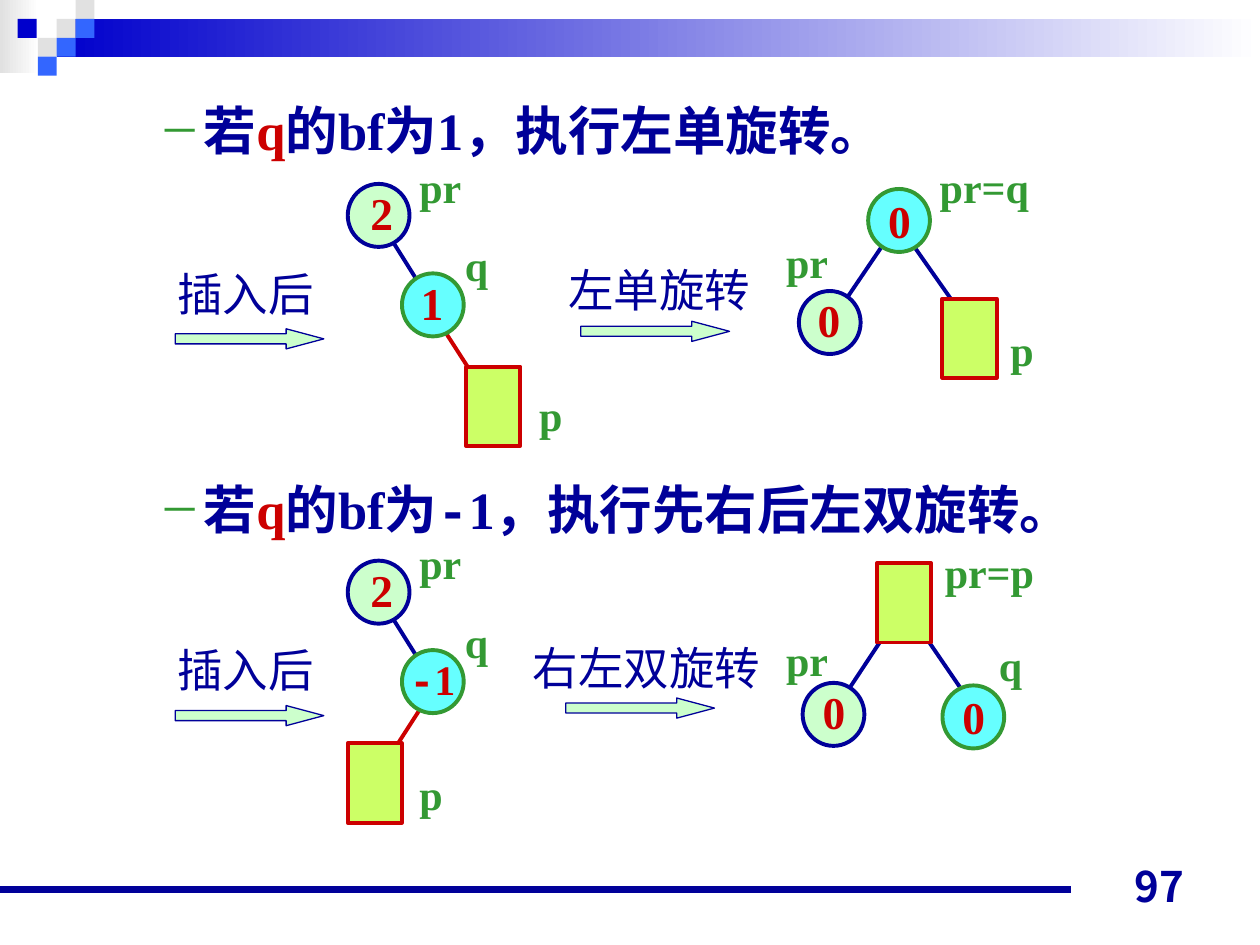
from dataclasses import dataclass

from lxml.etree import SubElement
from pptx import Presentation
from pptx.dml.color import RGBColor
from pptx.enum.shapes import MSO_CONNECTOR, MSO_SHAPE
from pptx.enum.text import MSO_ANCHOR, MSO_AUTO_SIZE, PP_ALIGN
from pptx.oxml.ns import qn
from pptx.util import Inches, Pt

RECT = MSO_SHAPE.RECTANGLE
OVAL = MSO_SHAPE.OVAL
ARROW = MSO_SHAPE.RIGHT_ARROW
LINE = MSO_CONNECTOR.STRAIGHT
BOTTOM = MSO_ANCHOR.BOTTOM
RIGHT = PP_ALIGN.RIGHT
GROW = MSO_AUTO_SIZE.SHAPE_TO_FIT_TEXT
FIXED = MSO_AUTO_SIZE.NONE

NAVY = RGBColor(0x00, 0x00, 0x99)
RED = RGBColor(0xCC, 0x00, 0x00)
GREEN = RGBColor(0x33, 0x99, 0x33)
MINT = RGBColor(0xCC, 0xFF, 0xCC)
CYAN = RGBColor(0x66, 0xFF, 0xFF)
LIME = RGBColor(0xCC, 0xFF, 0x66)
BLUE = RGBColor(0x00, 0x00, 0xCC)
SKY = RGBColor(0x33, 0x66, 0xFF)
GREY = RGBColor(0xE1, 0xE1, 0xE1)
WHITE = RGBColor(0xFF, 0xFF, 0xFF)

SERIF = "Times New Roman"
SANS = "Arial"
MONO = "Courier New"
NOTO = "Noto Sans CJK JP"
STEP = 2.99


@dataclass(frozen=True)
class Run:
    text: str
    color: RGBColor
    size: float
    font: str = SERIF
    bold: bool = True


@dataclass(frozen=True)
class Text:
    x: float
    y: float
    w: float
    h: float
    runs: tuple[Run, ...]


@dataclass(frozen=True)
class Edge:
    x1: float
    y1: float
    x2: float
    y2: float
    color: RGBColor = NAVY
    width: float = 2.25


@dataclass(frozen=True)
class Shape:
    kind: int
    x: float
    y: float
    w: float
    h: float
    fill: RGBColor
    line: RGBColor | None = None
    width: float = 2.25


def name(text: str, x: float, y: float, w: float = 0.38) -> Text:
    return Text(x, y, w, 0.5, (Run(text, GREEN, 24),))


def count(text: str, x: float, y: float) -> Text:
    return Text(x, y, 0.38, 0.54, (Run(text, RED, 26),))


def note(text: str, x: float, y: float, w: float) -> Text:
    return Text(x, y, w, 0.54, (Run(text, NAVY, 26, SANS, False),))


def root(x: float, y: float) -> Shape:
    return Shape(OVAL, x, y, 0.49, 0.5, MINT, NAVY)


def child(x: float, y: float) -> Shape:
    return Shape(OVAL, x, y, 0.49, 0.5, CYAN, GREEN)


def leaf(x: float, y: float) -> Shape:
    return Shape(RECT, x, y, 0.43, 0.63, LIME, RED)


def arrow(x: float, y: float) -> Shape:
    return Shape(ARROW, x, y, 1.18, 0.16, MINT, NAVY, 0.75)


def before(y: float) -> list:
    return [
        arrow(1.39, y + 2.61), note("插入后", 1.31, y + 2.06, 1.32),
        Edge(3.05, y + 1.81, 3.42, y + 2.4),
        root(2.76, y + 1.46), count("2", 2.84, y + 1.42),
        child(3.19, y + 2.17), name("q", 3.59, y + 1.85),
        name("pr", 3.23, y + 1.23, 0.53),
    ]


def add_run(para, run: Run) -> None:
    item = para.add_run()
    item.text = run.text
    font = item.font
    font.name, font.size, font.bold = run.font, Pt(run.size), run.bold
    font.color.rgb = run.color


def add_text(slide, text: Text):
    box = slide.shapes.add_textbox(
        Inches(text.x), Inches(text.y), Inches(text.w), Inches(text.h))
    box.text_frame.word_wrap = False
    box.text_frame.auto_size = GROW
    for run in text.runs:
        add_run(box.text_frame.paragraphs[0], run)
    return box.text_frame


def add_block(slide, text: Text):
    frame = add_text(slide, text)
    frame.word_wrap = True
    frame.auto_size = FIXED
    return frame


def add_edge(slide, edge: Edge) -> None:
    line = slide.shapes.add_connector(
        LINE, Inches(edge.x1), Inches(edge.y1), Inches(edge.x2), Inches(edge.y2))
    line.line.color.rgb = edge.color
    line.line.width = Pt(edge.width)
    SubElement(line._element.spPr, qn("a:effectLst"))


def add_shape(slide, part: Shape):
    shape = slide.shapes.add_shape(
        part.kind, Inches(part.x), Inches(part.y), Inches(part.w), Inches(part.h))
    shape.shadow.inherit = False
    shape.fill.solid()
    shape.fill.fore_color.rgb = part.fill
    if part.line is None:
        shape.line.fill.background()
    else:
        shape.line.color.rgb = part.line
        shape.line.width = Pt(part.width)
    if part.kind == ARROW:
        shape.adjustments[0], shape.adjustments[1] = 0.5, 1.87
    return shape


def draw(slide, parts: list) -> None:
    tools = {Text: add_text, Edge: add_edge, Shape: add_shape}
    for part in parts:
        tools[type(part)](slide, part)


def add_fade(slide, part: Shape) -> None:
    fill = add_shape(slide, part).fill
    fill.gradient()
    fill.gradient_angle = 0
    for stop, color in zip(fill.gradient_stops, (part.fill, WHITE)):
        stop.color.rgb = color


def add_bullet(para) -> None:
    props = para._p.get_or_add_pPr()
    props.set("marL", str(Inches(0.81)))
    props.set("indent", str(Inches(-0.31)))
    tint = SubElement(props, qn("a:buClr"))
    SubElement(tint, qn("a:srgbClr"), val=str(GREEN))
    SubElement(props, qn("a:buSzPct"), val="80000")
    SubElement(props, qn("a:buFont"), typeface=SERIF)
    SubElement(props, qn("a:buChar"), char="─")


def add_heads(slide, heads: list[tuple[Run, ...]]) -> None:
    frame = add_block(slide, Text(0.71, 0.68, 8.61, 6.1, ()))
    for i, tail in enumerate(heads):
        para = frame.add_paragraph() if i else frame.paragraphs[0]
        add_bullet(para)
        para.level = 1
        para.line_spacing = 1.1
        para.space_before = Pt(177 * i)
        for run in (Run("若", NAVY, 30), Run("q", RED, 30), *tail):
            add_run(para, run)


def main() -> None:
    deck = Presentation()
    deck.slide_width, deck.slide_height = Inches(10), Inches(7.5)
    slide = deck.slides.add_slide(deck.slide_layouts[6])

    add_fade(slide, Shape(RECT, 0, 0, 0.31, 0.58, GREY))
    add_fade(slide, Shape(RECT, 0.45, 0.15, 9.55, 0.3, BLUE))
    tiles = [(0.45, 0.15, GREY), (0.6, 0, GREY), (0.6, 0.15, SKY), (0.3, 0.3, GREY),
             (0.14, 0.15, BLUE), (0.45, 0.3, SKY), (0.3, 0.45, SKY)]
    draw(slide, [Shape(RECT, x, y, 0.15, 0.15, color) for x, y, color in tiles])
    add_edge(slide, Edge(0, 7.06, 8.5, 7.06, NAVY, 4.5))

    add_heads(slide, [
        (Run("的bf为1，执行左单旋转。", NAVY, 30),),
        (Run("的bf为", NAVY, 30), Run("-", NAVY, 30, MONO),
         Run("1，执行先右后左双旋转。", NAVY, 30)),
    ])

    draw(slide, [
        Edge(3.46, 2.52, 3.84, 3.11, RED), *before(0),
        count("1", 3.24, 2.13), name("p", 4.18, 3.04), leaf(3.7, 2.91),
        arrow(4.61, 2.55), note("左单旋转", 4.41, 2.03, 1.68),
        Edge(7.03, 1.91, 6.63, 2.5), Edge(7.18, 1.85, 7.58, 2.42),
        child(6.89, 1.5), count("0", 6.95, 1.48),
        root(6.34, 2.31), name("pr", 6.14, 1.83, 0.53), count("0", 6.39, 2.27),
        leaf(7.48, 2.37), name("p", 7.92, 2.53), name("pr=q", 7.36, 1.23, 0.91),
    ])
    draw(slide, [
        Edge(3.41, 5.51, 3.03, 6.1, RED), *before(STEP),
        Text(3.15, 5.14, 0.6, 0.5, (Run("-", RED, 24, MONO), Run("1", RED, 24))),
        name("p", 3.23, 6.05), leaf(2.76, 5.9),
        arrow(4.49, 5.54), note("右左双旋转", 4.13, 5.03, 2.04),
        Edge(7.1, 4.92, 6.71, 5.51), Edge(7.26, 4.93, 7.65, 5.5),
        child(7.48, 5.44), count("0", 7.54, 5.42),
        root(6.37, 5.42), name("pr", 6.14, 4.99, 0.53), count("0", 6.43, 5.38),
        leaf(6.96, 4.47), name("q", 7.83, 5.03), name("pr=p", 7.4, 4.29, 0.91),
    ])

    page = add_block(slide, Text(7.17, 6.78, 2.33, 0.5, (Run("97", NAVY, 24, NOTO),)))
    page.vertical_anchor = BOTTOM
    page.paragraphs[0].alignment = RIGHT
    deck.save("out.pptx")


if __name__ == "__main__":
    main()
